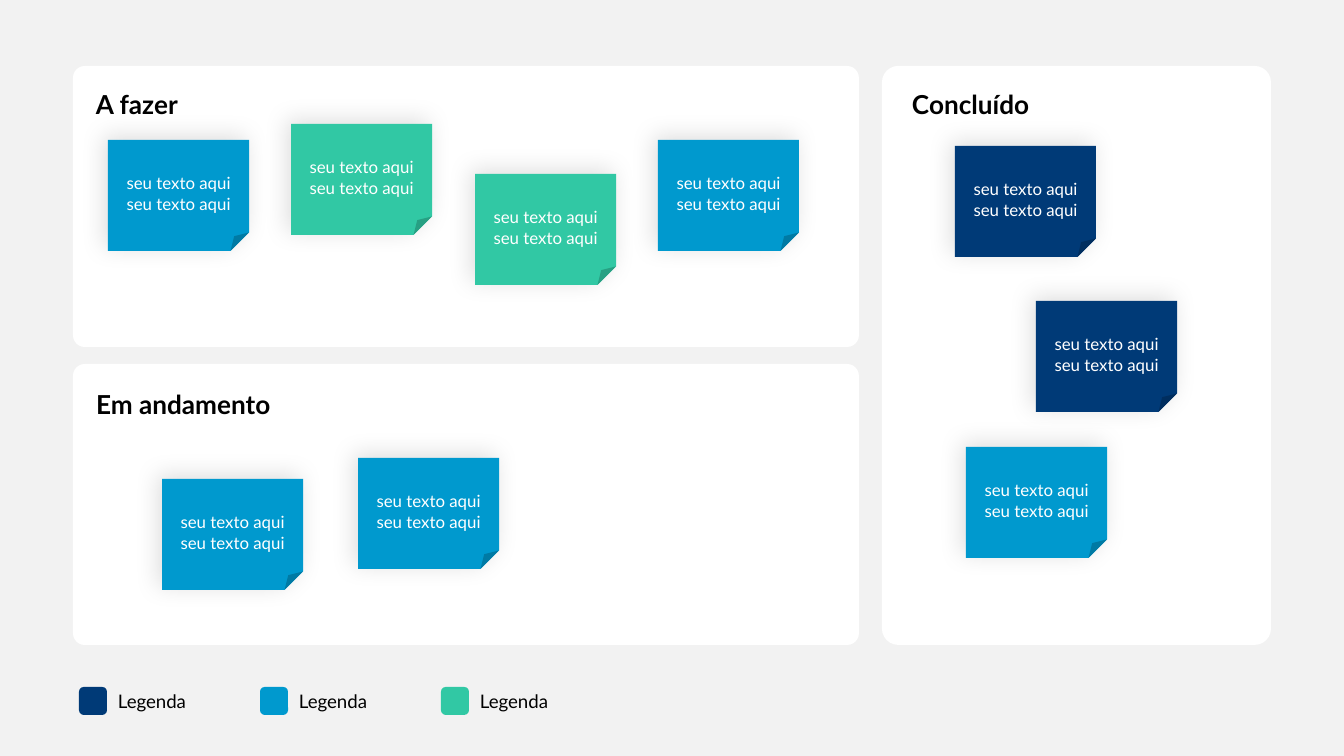
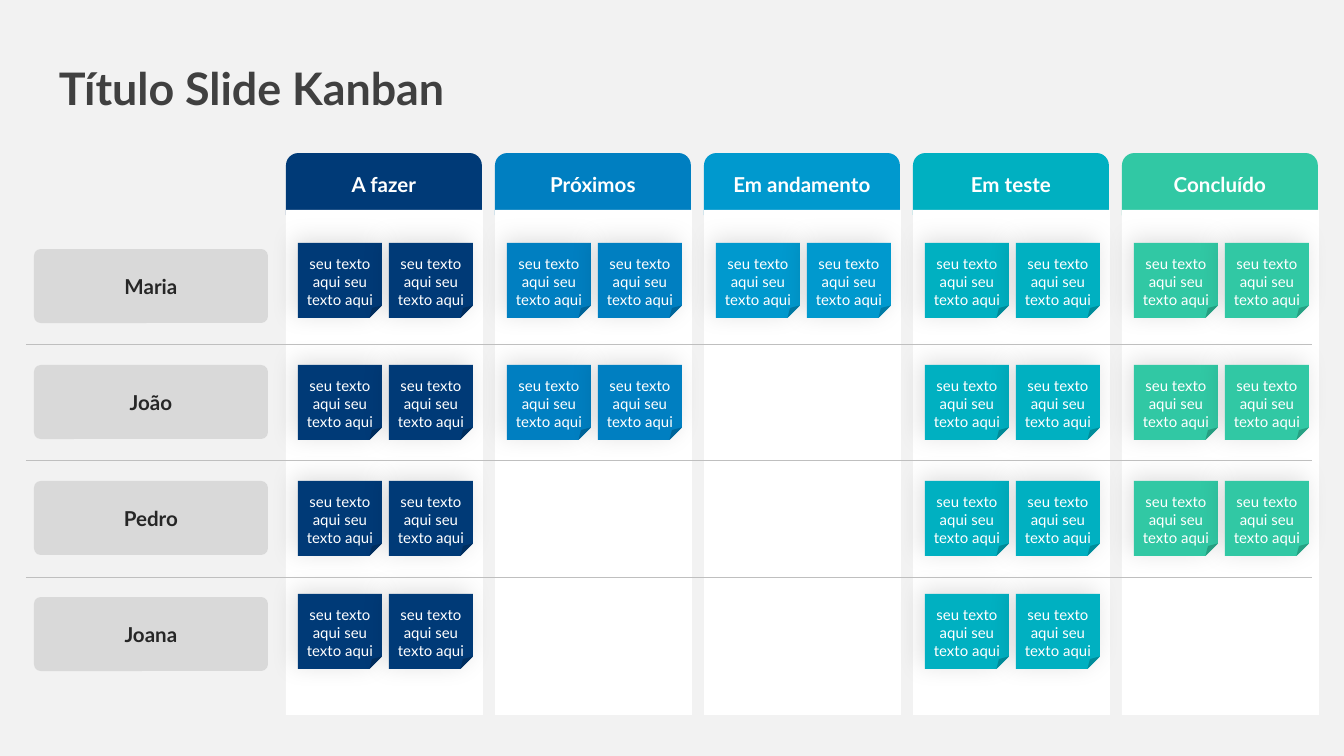
from dataclasses import dataclass

from lxml import etree
from pptx import Presentation, util as u
from pptx.dml.color import RGBColor
from pptx.enum import shapes as s, text as t
from pptx.oxml import parse_xml
from pptx.oxml.ns import nsdecls, qn

PX = 914400 / 134.4  # EMU in one px; the slide is 1344 x 756 px


@dataclass(frozen=True)
class Theme:
    font: str = "Lato"
    background: str = "F2F2F2"
    white: str = "FFFFFF"
    black: str = "000000"
    title: str = "404040"
    name_text: str = "262626"
    name_fill: str = "D9D9D9"
    rule: str = "BFBFBF"
    navy: str = "003A77"
    blue: str = "007FC1"
    sky: str = "0099CE"
    teal: str = "00B0C1"
    green: str = "31C8A4"
    title_size: int = 24
    heading_size: int = 14
    label_size: int = 11
    legend_size: int = 10
    note_size: int = 9
    small_note_size: int = 8


theme = Theme()
RECTANGLE = s.MSO_SHAPE.RECTANGLE
ROUNDED = s.MSO_SHAPE.ROUNDED_RECTANGLE
NOTE_TEXT = "seu texto aqui seu texto aqui"


def add_box(shapes, kind, box, fill=None, corner=None, text="", size=10,
            color=theme.black, bold=False, insets=(13, 7, 13, 7)):
    """Add a borderless preset shape with centred text, or a text box if kind is None."""
    box = [round(value * PX) for value in box]
    if kind is None:
        shape = shapes.add_textbox(*box)
    else:
        shape = shapes.add_shape(kind, *box)
        shape.shadow.inherit = False
        shape.fill.solid()
        shape.fill.fore_color.rgb = RGBColor.from_string(fill)
        shape.line.fill.background()
    if corner is not None:
        shape.adjustments[0] = corner
    if text:
        frame = shape.text_frame
        frame.text = text
        frame.word_wrap = True
        frame.margin_left, frame.margin_top, frame.margin_right, frame.margin_bottom = (
            round(inset * PX) for inset in insets)
        paragraph = frame.paragraphs[0]
        if kind is None:
            frame.auto_size = t.MSO_AUTO_SIZE.SHAPE_TO_FIT_TEXT
        else:
            frame.vertical_anchor = t.MSO_ANCHOR.MIDDLE
            paragraph.alignment = t.PP_ALIGN.CENTER
        font = paragraph.runs[0].font
        font.name, font.size, font.bold = theme.font, u.Pt(size), bold
        font.color.rgb = RGBColor.from_string(color)
    return shape


def add_note(shapes, box, fill, size):
    """Add a sticky note with a soft shadow towards the upper left."""
    note = add_box(shapes, s.MSO_SHAPE.FOLDED_CORNER, box, fill, text=NOTE_TEXT,
                   size=size, color=theme.white, insets=(5, 21, 5, 7))
    effects = note._element.spPr.find(qn("a:effectLst"))
    effects.append(parse_xml(
        f'<a:outerShdw {nsdecls("a")} blurRad="{u.Pt(13)}" dist="{u.Pt(3)}" '
        f'dir="{225 * 60000}" algn="ctr" rotWithShape="0">'
        f'<a:srgbClr val="{theme.black}"><a:alpha val="12000"/></a:srgbClr></a:outerShdw>'))


presentation = Presentation()
presentation.slide_width = round(1344 * PX)
presentation.slide_height = round(756 * PX)
blank = presentation.slide_layouts[6]
board, lanes = (presentation.slides.add_slide(blank).shapes for _ in range(2))
for shapes in (board, lanes):
    add_box(shapes, RECTANGLE, (0, 0, 1344, 756), theme.background)

# Slide 1: board with three panels
panels = [
    ("A fazer", (73, 66, 786, 281), (83, 81, 180, 41)),
    ("Em andamento", (73, 364, 786, 281), (83, 381, 310, 41)),
    ("Concluído", (882, 66, 389, 579), (899, 81, 180, 41)),
]
for heading, panel_box, heading_box in panels:
    add_box(board, ROUNDED, panel_box, theme.white, 0.042)
    add_box(board, None, heading_box, text=heading, size=theme.heading_size, bold=True)

board_notes = [
    (108, 140, theme.sky), (291, 124, theme.green),
    (475, 174, theme.green), (658, 140, theme.sky),
    (162, 479, theme.sky), (358, 458, theme.sky),
    (955, 146, theme.navy), (1036, 301, theme.navy), (966, 447, theme.sky),
]
for left, top, color in board_notes:
    add_note(board, (left, top, 141, 111), color, theme.note_size)

for index, color in enumerate((theme.navy, theme.sky, theme.green)):
    left = 79 + 181 * index
    legend = board.add_group_shape().shapes
    add_box(legend, ROUNDED, (left, 687, 28, 28), color)
    add_box(legend, None, (left + 26, 683, 153, 36), text="Legenda",
            size=theme.legend_size)

# Slide 2: stages across, people down
title = add_box(lanes, None, (46, 54, 965, 67), text="Título Slide Kanban",
                size=theme.title_size, color=theme.title, bold=True)
title.text_frame.vertical_anchor = t.MSO_ANCHOR.MIDDLE

stages = [  # heading, colour, number of people with notes
    ("A fazer", theme.navy, 4),
    ("Próximos", theme.blue, 2),
    ("Em andamento", theme.sky, 1),
    ("Em teste", theme.teal, 4),
    ("Concluído", theme.green, 3),
]
note_tops = (243, 365, 481, 594)
for index, (heading, color, filled_rows) in enumerate(stages):
    left = 286 + 209 * index
    add_box(lanes, ROUNDED, (left, 153, 196, 74), color, text=heading,
            size=theme.label_size, color=theme.white, bold=True, insets=(13, 0, 13, 11))
    add_box(lanes, RECTANGLE, (left, 210, 197, 505), theme.white)
    for top in note_tops[:filled_rows]:
        for note_left in (left + 12, left + 103):
            add_note(lanes, (note_left, top, 84, 75), color, theme.small_note_size)

for index, name in enumerate(("Maria", "João", "Pedro", "Joana")):
    add_box(lanes, ROUNDED, (34, 249 + 116 * index, 234, 74), theme.name_fill, 0.091,
            text=name, size=theme.label_size, color=theme.name_text, bold=True,
            insets=(13, 0, 13, 0))

for index in range(3):
    top = round((344 + 117 * index) * PX)
    rule = lanes.add_connector(s.MSO_CONNECTOR.STRAIGHT, round(26 * PX), top,
                               round(1312 * PX), top)
    rule.line.color.rgb = RGBColor.from_string(theme.rule)
    rule.line.width = u.Pt(0.5)
    etree.SubElement(rule._element.spPr, qn("a:effectLst"))

presentation.save("out.pptx")
